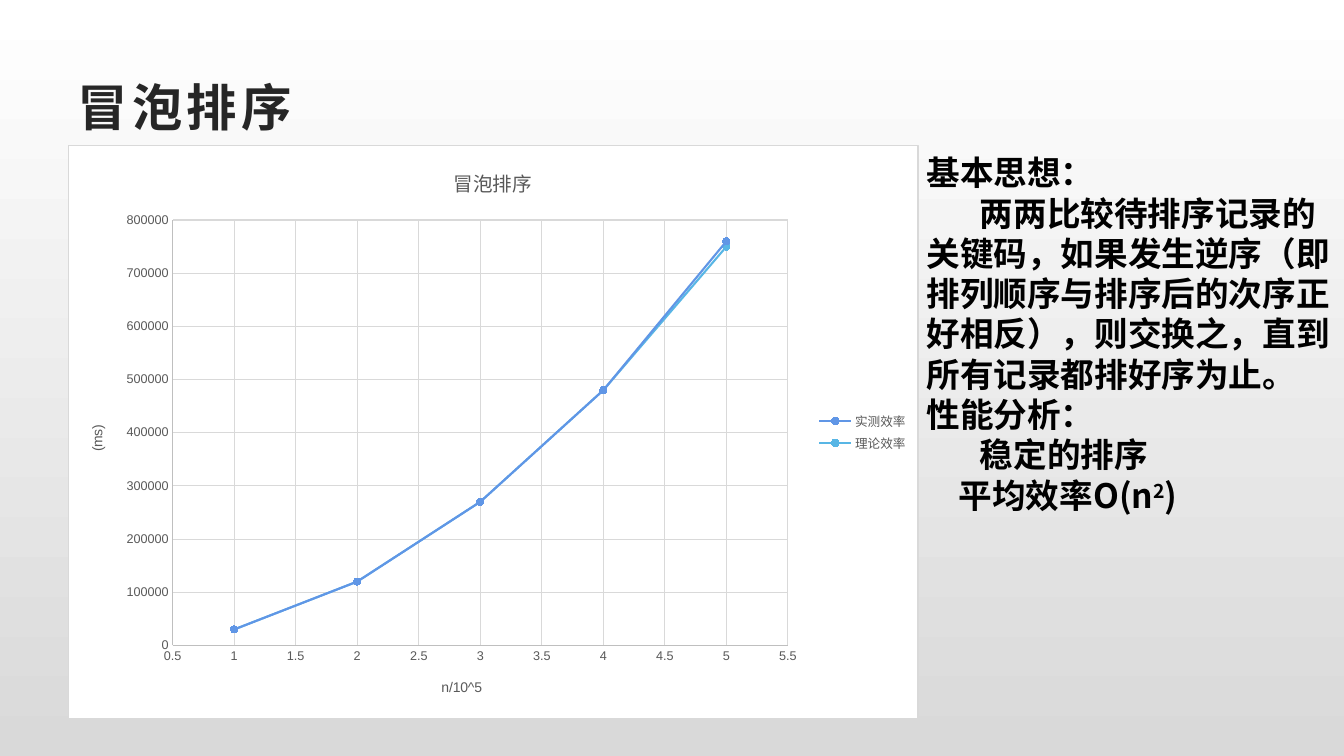
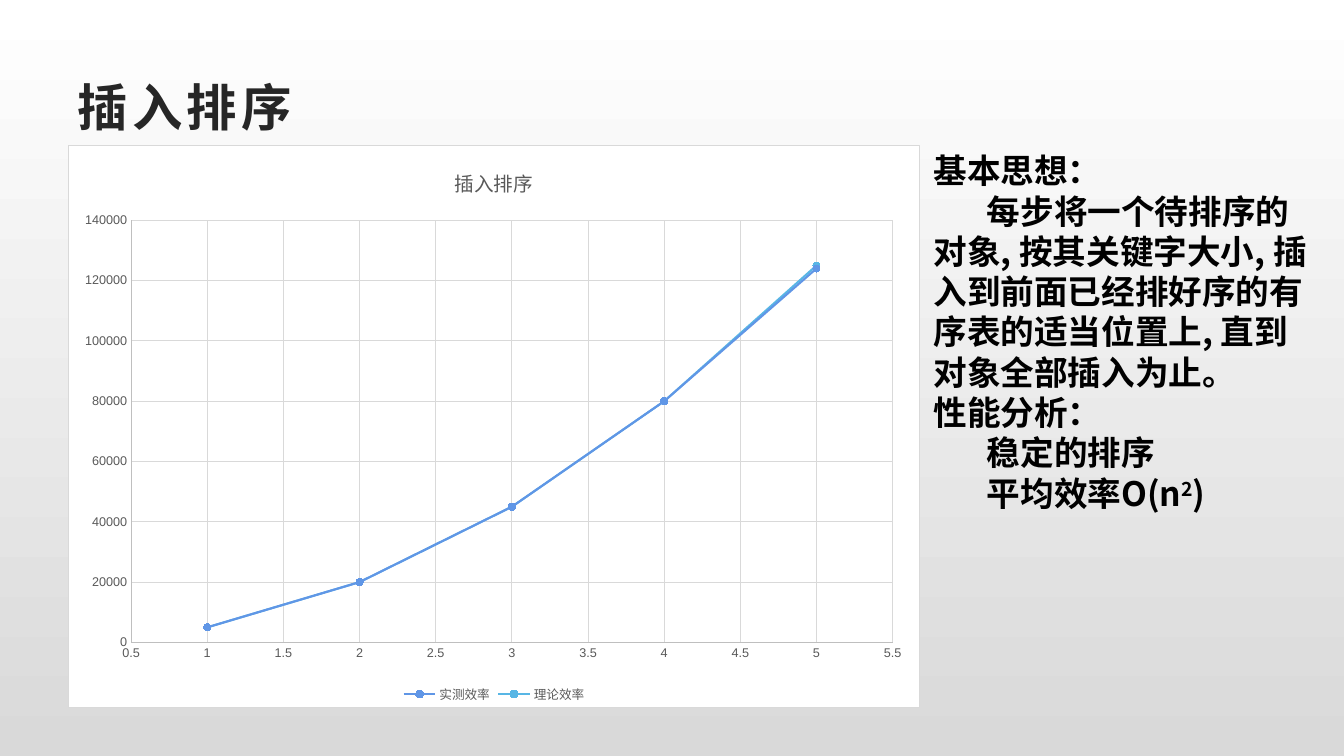
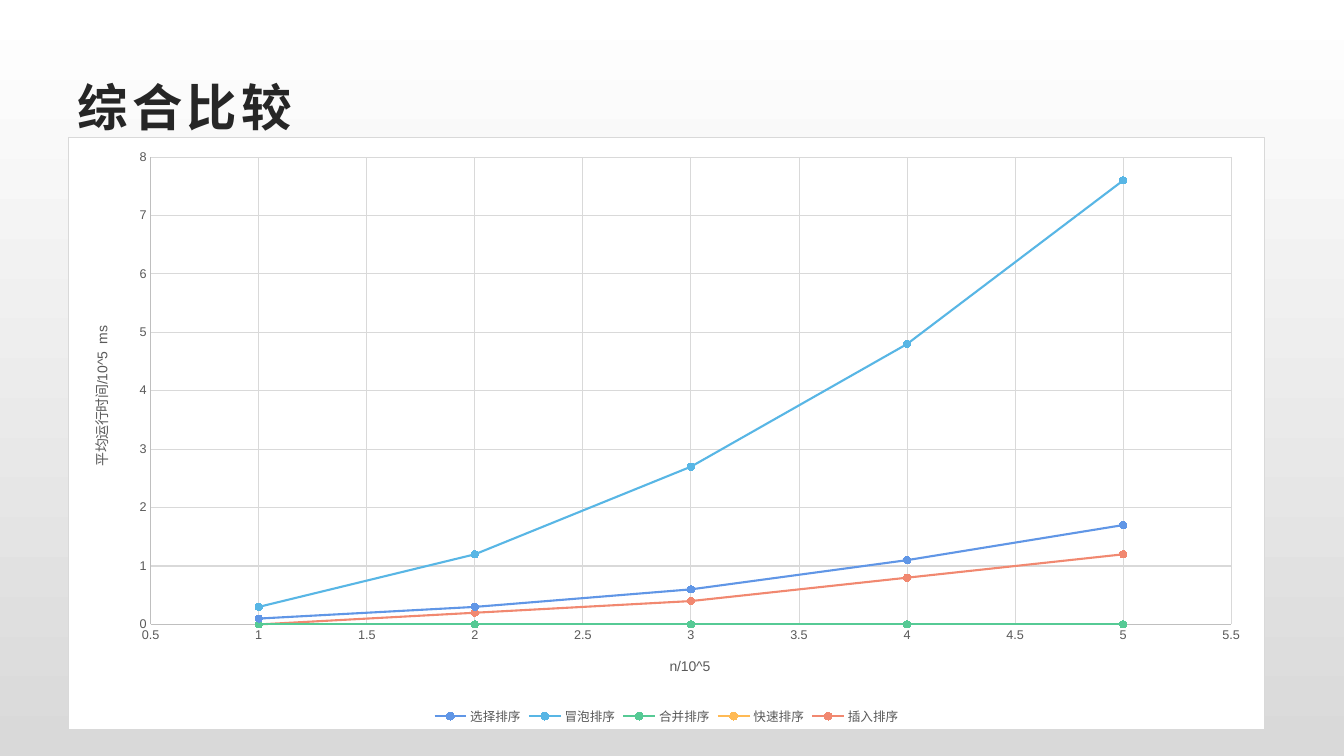
from lxml import etree
from pptx import Presentation
from pptx import util as u
from pptx.chart.data import XyChartData
from pptx.dml.color import RGBColor
from pptx.enum import chart as ch, text
from pptx.oxml import parse_xml
from pptx.oxml.ns import nsdecls, qn

WIDTH, HEIGHT, MARGIN = 13.33, 7.5, 0.67
LATIN, CJK = "Arial", "Noto Sans CJK SC"
COLORS = {"top": "FFFFFF", "bottom": "D9D9D9", "title": "262626", "body": "000000",
          "label": "595959", "axis": "BFBFBF", "grid": "D9D9D9", "panel": "FFFFFF"}
SERIES_COLORS = ["6096E6", "58B6E5", "56CA95", "FFBA55", "F18870"]
TITLE_BOX = (MARGIN, MARGIN, WIDTH - 2 * MARGIN, 0.77)
SIZES = [1, 2, 3, 4, 5]
DEEP, SHALLOW = 0.53, 0.32
MEASURED, THEORY = "实测效率", "理论效率"

# Text lines are (first-line indent, font, words, superscript, words after it).
SLIDES = [
    {"title": "冒泡排序",
     "chart": {"box": (MARGIN, 1.44, 8.44, 5.69), "plot": (0.123, 0.13, 0.724, 0.743),
               "title": "冒泡排序", "x_title": "n/10^5", "y_title": "(ms)",
               "y_max": 800000, "y_step": 100000, "legend": "RIGHT",
               "series": [(MEASURED, [30000, 120000, 270000, 480000, 760000]),
                          (THEORY, [30000, 120000, 270000, 480000, 750000])]},
     "text_box": (9.09, 1.46, 4.21, 4.14),
     "lines": [
         (0, LATIN, "基本思想：", "", ""),
         (DEEP, CJK, "两两比较待排序记录的关键码，如果发生逆序（即排列顺序与排序后的"
                     "次序正好相反），则交换之，直到所有记录都排好序为止。", "", ""),
         (0, LATIN, "性能分析：", "", ""),
         (DEEP, CJK, "稳定的排序", "", ""),
         (SHALLOW, CJK, "平均效率O(n", "2", ")")]},
    {"title": "插入排序",
     "chart": {"box": (MARGIN, 1.44, 8.46, 5.58), "plot": (0.074, 0.133, 0.894, 0.752),
               "title": "插入排序", "x_title": "", "y_title": "",
               "y_max": 140000, "y_step": 20000, "legend": "BOTTOM",
               "series": [(MEASURED, [5000, 20000, 45000, 80000, 124000]),
                          (THEORY, [5000, 20000, 45000, 80000, 125000])]},
     "text_box": (9.16, 1.44, 4.01, 3.73),
     "lines": [
         (0, LATIN, "基本思想：", "", ""),
         (DEEP, CJK, "每步将一个待排序的对象, 按其关键字大小, 插入到前面已经排好序的"
                     "有序表的适当位置上, 直到对象全部插入为止。", "", ""),
         (0, LATIN, "性能分析：", "", ""),
         (DEEP, CJK, "稳定的排序", "", ""),
         (DEEP, CJK, "平均效率O(n", "2", ")")]},
    {"title": "综合比较",
     "chart": {"box": (MARGIN, 1.36, 11.88, 5.88), "plot": (0.069, 0.033, 0.903, 0.79),
               "title": "", "x_title": "n/10^5", "y_title": "平均运行时间/10^5  ms",
               "y_max": 8, "y_step": 1, "legend": "BOTTOM",
               "series": [("选择排序", [0.1, 0.3, 0.6, 1.1, 1.7]),
                          ("冒泡排序", [0.3, 1.2, 2.7, 4.8, 7.6]),
                          ("合并排序", [0, 0, 0, 0, 0]),
                          ("快速排序", [0, 0, 0, 0, 0]),
                          ("插入排序", [0, 0.2, 0.4, 0.8, 1.2])]}},
]


def rgb(value):
    """Turn a hex string into a colour."""
    return RGBColor.from_string(value)


def inches(box):
    """Turn a box in inches into lengths."""
    return [u.Inches(v) for v in box]


def apply(target, **values):
    """Set several attributes on one object."""
    for name, value in values.items():
        setattr(target, name, value)


def style_font(font, size, color, bold=False, name=LATIN):
    """Give a font its face, size, weight and colour."""
    apply(font, name=name, size=u.Pt(size), bold=bold)
    font.color.rgb = rgb(color)


def style_line(line, color, width):
    """Give a line its colour and width."""
    line.color.rgb = rgb(color)
    line.width = u.Pt(width)


def add_run(p, words, font_name, size, color):
    """Add a bold run with a Chinese face and return its properties."""
    r = p.add_run()
    r.text = words
    style_font(r.font, size, color, True, font_name)
    props = r.font._element if hasattr(r.font, "_element") else r._r.get_or_add_rPr()
    props.find(qn("a:latin")).addnext(
        parse_xml(f'<a:ea {nsdecls("a")} typeface="{CJK}"/>'))
    return props


def set_background(master):
    """Fade the shared background from top to bottom."""
    fill = master.background.fill
    fill.gradient()
    fill.gradient_angle = 270
    for stop, key in zip(fill.gradient_stops, ("top", "bottom")):
        stop.color.rgb = rgb(COLORS[key])


def add_title(s, words):
    """Place and format the slide title."""
    sp = s.shapes.title
    apply(sp, **dict(zip(("left", "top", "width", "height"), inches(TITLE_BOX))))
    tf = sp.text_frame
    apply(tf, vertical_anchor=text.MSO_ANCHOR.MIDDLE, word_wrap=True,
          auto_size=text.MSO_AUTO_SIZE.NONE)
    p = tf.paragraphs[0]
    p.alignment = text.PP_ALIGN.LEFT
    add_run(p, words, LATIN, 36, COLORS["title"]).set("spc", "300")


def add_notes_text(s, box, lines):
    """Write the explanation beside the chart."""
    tf = s.shapes.add_textbox(*inches(box)).text_frame
    tf.word_wrap = True
    for i, (indent, font_name, words, raised, after) in enumerate(lines):
        p = tf.add_paragraph() if i else tf.paragraphs[0]
        p.line_spacing = u.Pt(28.8)
        props = p._p.get_or_add_pPr()
        props.set("marL", "0")
        props.set("indent", str(u.Inches(indent)))
        for part, baseline in ((words, 0), (raised, 30000), (after, 0)):
            if part:
                run_props = add_run(p, part, font_name, 24, COLORS["body"])
                if baseline:
                    run_props.set("baseline", str(baseline))


def set_title(owner, words, size):
    """Write a chart or axis title, or switch it off."""
    owner.has_title = bool(words)
    if words:
        title = owner.chart_title if hasattr(owner, "chart_title") else owner.axis_title
        title.text_frame.text = words
        style_font(title.text_frame.paragraphs[0].runs[0].font, size, COLORS["label"])


def style_axis(axis, low, high, step, title):
    """Set the scale, grid, labels and title of an axis."""
    apply(axis, minimum_scale=low, maximum_scale=high, major_unit=step,
          has_major_gridlines=True, major_tick_mark=ch.XL_TICK_MARK.NONE,
          minor_tick_mark=ch.XL_TICK_MARK.NONE)
    apply(axis.tick_labels, number_format="General", number_format_is_linked=False)
    style_font(axis.tick_labels.font, 9, COLORS["label"])
    style_line(axis.format.line, COLORS["axis"], 0.75)
    style_line(axis.major_gridlines.format.line, COLORS["grid"], 0.75)
    set_title(axis, title, 10)


def frame_chart(chart, plot):
    """Fill and border the chart area and place its plot area."""
    space = chart.element
    body = space.find(qn("c:chart"))
    body.addprevious(parse_xml(f'<c:roundedCorners {nsdecls("c")} val="0"/>'))
    body.addnext(parse_xml(
        f'<c:spPr {nsdecls("c", "a")}><a:solidFill><a:srgbClr val="{COLORS["panel"]}"/>'
        f'</a:solidFill><a:ln w="{u.Pt(0.75)}"><a:solidFill>'
        f'<a:srgbClr val="{COLORS["grid"]}"/></a:solidFill></a:ln></c:spPr>'))
    area = body.find(qn("c:plotArea"))
    for old in area.findall(qn("c:layout")):
        area.remove(old)
    layout = etree.Element(qn("c:layout"))
    manual = etree.SubElement(layout, qn("c:manualLayout"))
    settings = [("layoutTarget", "inner"), ("xMode", "edge"), ("yMode", "edge")]
    for name, value in settings + list(zip("xywh", plot)):
        etree.SubElement(manual, qn("c:" + name)).set("val", str(value))
    area.insert(0, layout)


def add_curves(s, spec):
    """Draw the smooth running-time curves."""
    data = XyChartData()
    for name, values in spec["series"]:
        series = data.add_series(name)
        for x, y in zip(SIZES, values):
            series.add_data_point(x, y)
    chart = s.shapes.add_chart(ch.XL_CHART_TYPE.XY_SCATTER_SMOOTH,
                               *inches(spec["box"]), data).chart
    style_font(chart.font, 10, COLORS["body"])
    set_title(chart, spec["title"], 14)
    style_axis(chart.category_axis, 0.5, 5.5, 0.5, spec["x_title"])
    style_axis(chart.value_axis, 0, spec["y_max"], spec["y_step"], spec["y_title"])
    chart.has_legend = True
    apply(chart.legend, include_in_layout=False,
          position=ch.XL_LEGEND_POSITION[spec["legend"]])
    style_font(chart.legend.font, 9, COLORS["label"])
    chart.plots[0].vary_by_categories = False
    for series, color in zip(chart.plots[0].series, SERIES_COLORS):
        series.smooth = True
        style_line(series.format.line, color, 1.5)
        marker = series.marker
        apply(marker, style=ch.XL_MARKER_STYLE.CIRCLE, size=5)
        marker.format.fill.solid()
        marker.format.fill.fore_color.rgb = rgb(color)
        style_line(marker.format.line, color, 0.75)
    frame_chart(chart, spec["plot"])


prs = Presentation()
prs.slide_width, prs.slide_height = inches((WIDTH, HEIGHT))
set_background(prs.slide_master)
for content in SLIDES:
    s = prs.slides.add_slide(prs.slide_layouts[5])
    add_title(s, content["title"])
    add_curves(s, content["chart"])
    if "lines" in content:
        add_notes_text(s, content["text_box"], content["lines"])
prs.save("out.pptx")
